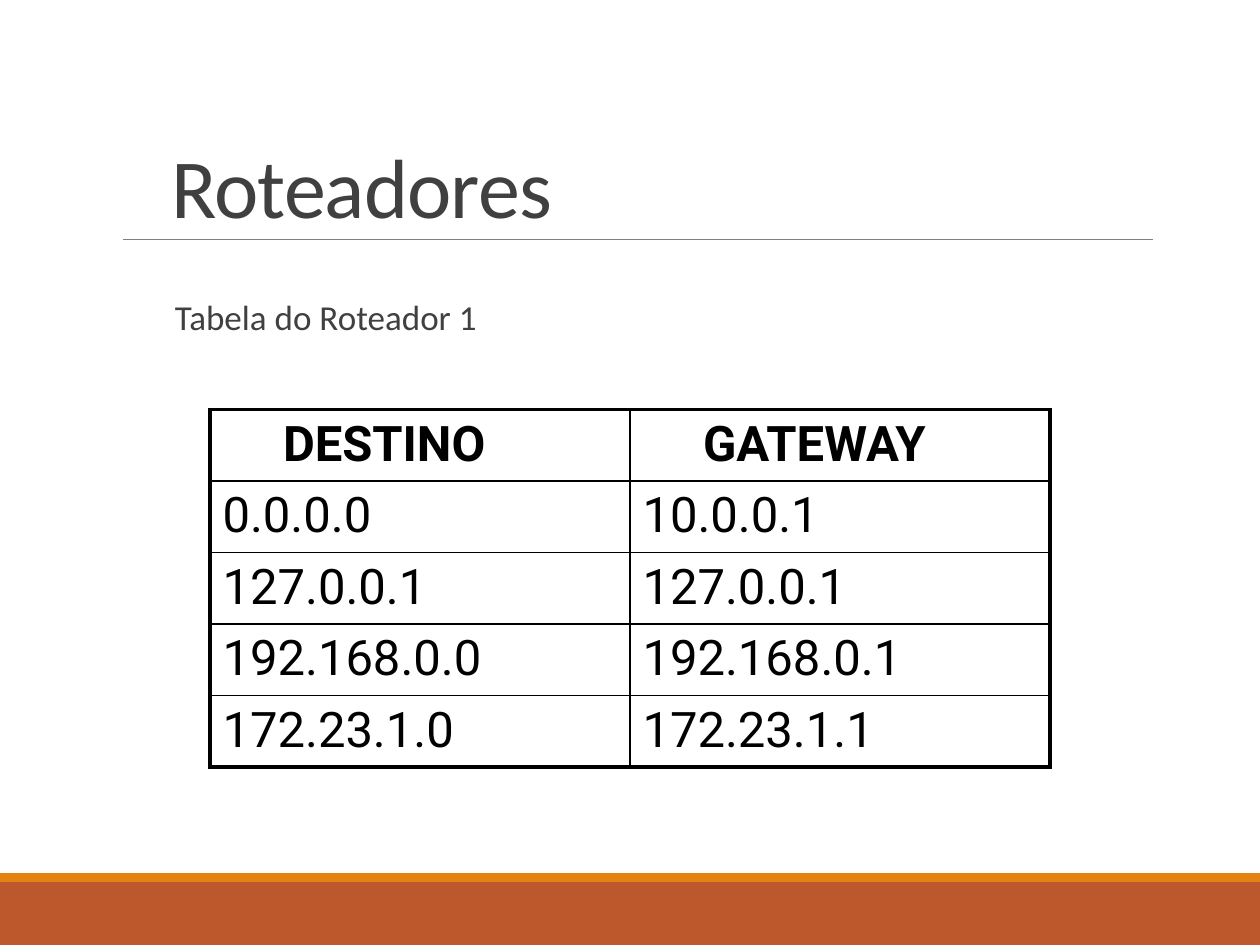
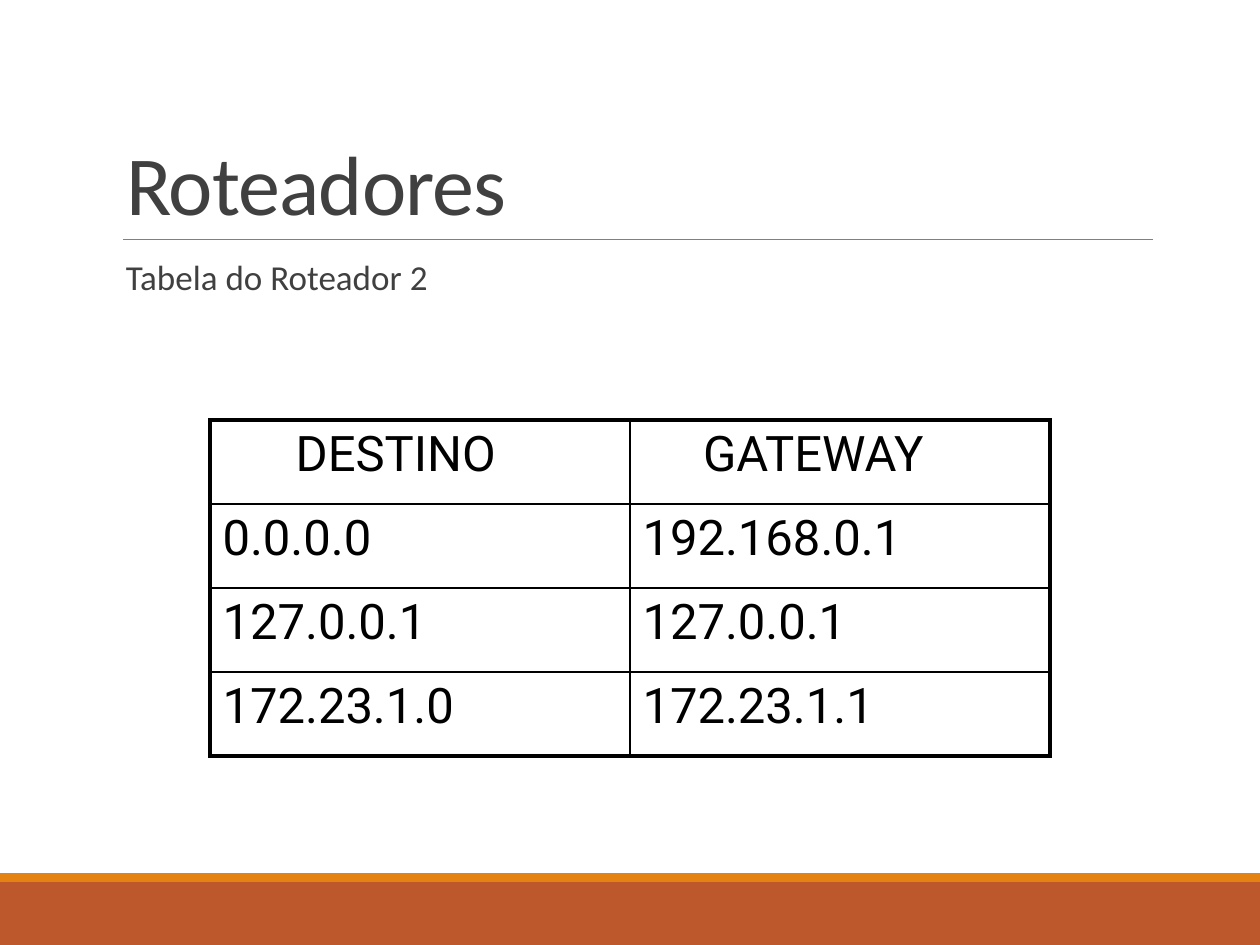
from lxml.etree import SubElement
from pptx import Presentation
from pptx.dml.color import RGBColor
from pptx.enum.shapes import MSO_CONNECTOR, MSO_SHAPE
from pptx.enum.text import MSO_ANCHOR, MSO_AUTO_SIZE, PP_ALIGN
from pptx.oxml.ns import qn
from pptx.util import Inches, Pt

COLORS = {"band": "BD582C", "stripe": "E48312", "rule": "808080",
          "heading": "404040", "ink": "000000", "paper": "FFFFFF"}
WIDTH, HEIGHT = 10, 7.5
BAND_TOP, STRIPE_TOP = 7, 6.93
RULE_LEFT, RULE_RIGHT, RULE_Y = 0.98, 9.15, 1.9
TABLE_LEFT = WIDTH / 6
COLUMN_WIDTH = WIDTH / 3
OUTER_LINE, INNER_LINE = 2.25, 1

HEADINGS = ("DESTINO", "GATEWAY")
ROUTERS = [
    {
        "title": "Roteadores", "title_box": (1.26, 0.33, 8.52, 1.59),
        "caption": "Tabela do Roteador 1", "caption_box": (1.29, 2.33, 8.5, 4.58),
        "routes": [("0.0.0.0", "10.0.0.1"), ("127.0.0.1", "127.0.0.1"),
                   ("192.168.0.0", "192.168.0.1"), ("172.23.1.0", "172.23.1.1")],
        "table_top": 3.25, "row_height": 0.55,
        "heading_indents": (0.48, 0.48), "heading_bold": True,
    },
    {
        "title": "Roteadores", "title_box": (0.9, 0.31, 8.25, 1.59),
        "caption": "Tabela do Roteador 2", "caption_box": (0.9, 2.02, 8.25, 4.4),
        "routes": [("0.0.0.0", "192.168.0.1"), ("127.0.0.1", "127.0.0.1"),
                   ("172.23.1.0", "172.23.1.1")],
        "table_top": HEIGHT * 4 / 9, "row_height": 2 / 3,
        "heading_indents": (0.58, 0.48), "heading_bold": False,
    },
]


def color(name):
    return RGBColor.from_string(COLORS[name])


def write(frame, text, size, font="Calibri", ink="heading", bold=False,
          line_spacing=1.0, tracking=0):
    paragraph = frame.paragraphs[0]
    paragraph.alignment = PP_ALIGN.LEFT
    paragraph.line_spacing = line_spacing
    run = paragraph.add_run()
    run.text = text
    run.font.size, run.font.name, run.font.bold = Pt(size), font, bold
    run.font.color.rgb = color(ink)
    if tracking:
        run.font._element.set("spc", str(int(tracking * 100)))


def add_band(slide, top, bottom, fill):
    band = slide.shapes.add_shape(MSO_SHAPE.RECTANGLE, 0, Inches(top),
                                  Inches(WIDTH), Inches(bottom - top))
    band.shadow.inherit = False
    band.fill.solid()
    band.fill.fore_color.rgb = color(fill)
    band.line.fill.background()


def add_frame(slide):
    """Draw the footer bands and the rule below the title."""
    add_band(slide, BAND_TOP, HEIGHT, "band")
    add_band(slide, STRIPE_TOP, BAND_TOP, "stripe")
    rule = slide.shapes.add_connector(
        MSO_CONNECTOR.STRAIGHT, Inches(RULE_LEFT), Inches(RULE_Y),
        Inches(RULE_RIGHT), Inches(RULE_Y))
    rule.line.color.rgb = color("rule")
    rule.line.width = Pt(0.5)
    SubElement(rule._element.spPr, qn("a:effectLst"))


def add_title(slide, text, box):
    title = slide.shapes.title
    title.left, title.top, title.width, title.height = map(Inches, box)
    title.text_frame.vertical_anchor = MSO_ANCHOR.BOTTOM
    title.text_frame.auto_size = MSO_AUTO_SIZE.NONE
    write(title.text_frame, text, size=48, line_spacing=0.85, tracking=-0.5)


def add_caption(slide, text, box):
    frame = slide.shapes.add_textbox(*map(Inches, box)).text_frame
    frame.word_wrap = True
    write(frame, text, size=20, line_spacing=0.9)


def set_borders(cell, row, column, last_row, last_column):
    outer_sides = {"L": column == 0, "R": column == last_column,
                   "T": row == 0, "B": row == last_row}
    properties = cell._tc.get_or_add_tcPr()
    for side, is_outer in outer_sides.items():
        width = Pt(OUTER_LINE if is_outer else INNER_LINE)
        line = SubElement(properties, qn(f"a:ln{side}"), w=str(int(width)))
        fill = SubElement(line, qn("a:solidFill"))
        SubElement(fill, qn("a:srgbClr"), val=COLORS["ink"])


def add_routes(slide, router):
    rows = [HEADINGS, *router["routes"]]
    row_height = Inches(router["row_height"])
    table = slide.shapes.add_table(
        len(rows), len(HEADINGS), Inches(TABLE_LEFT), Inches(router["table_top"]),
        Inches(COLUMN_WIDTH * len(HEADINGS)), row_height * len(rows)).table
    table.first_row = table.horz_banding = False
    for row, addresses in enumerate(rows):
        table.rows[row].height = row_height
        is_heading = row == 0
        for column, address in enumerate(addresses):
            cell = table.cell(row, column)
            set_borders(cell, row, column, len(rows) - 1, len(HEADINGS) - 1)
            cell.fill.solid()
            cell.fill.fore_color.rgb = color("paper")
            if is_heading:
                cell.margin_left = Inches(0.1 + router["heading_indents"][column])
            write(cell.text_frame, address, size=28, font="Roboto", ink="ink",
                  bold=is_heading and router["heading_bold"])


def main():
    deck = Presentation()
    deck.slide_width, deck.slide_height = Inches(WIDTH), Inches(HEIGHT)
    title_only = deck.slide_layouts[5]
    for router in ROUTERS:
        slide = deck.slides.add_slide(title_only)
        add_frame(slide)
        add_title(slide, router["title"], router["title_box"])
        add_caption(slide, router["caption"], router["caption_box"])
        add_routes(slide, router)
    deck.save("out.pptx")


if __name__ == "__main__":
    main()
